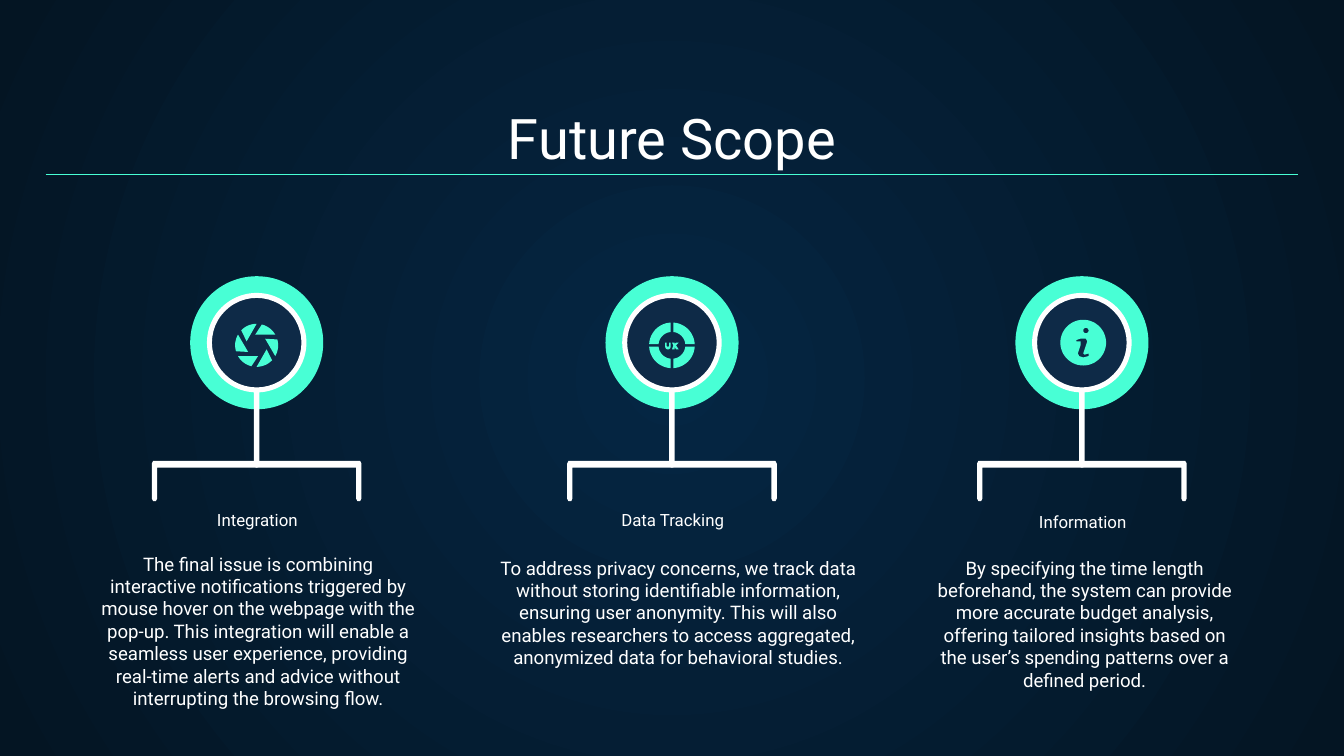
from math import asin, cos, degrees, radians, sin

from lxml import etree
from pptx import Presentation
from pptx import util as u
from pptx.dml.color import RGBColor
from pptx.enum import shapes, text
from pptx.oxml.ns import qn

HUES = {"glow": "052643", "edge": "041523", "mint": "48FFD5", "navy": "0E2A47", "white": "FFFFFF"}
FONT = "Roboto"
COLS = [
    {"mid": 1.91, "label": "Integration", "top": 3.83, "box": (0.63, 4.01, 2.58, 0.55),
     "body": "The final issue is combining interactive notifications triggered by mouse hover on the "
             "webpage with the pop-up. This integration will enable a seamless user experience, "
             "providing real-time alerts and advice without interrupting the browsing flow."},
    {"mid": 5, "label": "Data Tracking", "top": 3.83, "box": (3.57, 4.04, 2.95, 0.55),
     "body": "To address privacy concerns, we track data without storing identifiable information, "
             "ensuring user anonymity. This will also enables researchers to access aggregated, "
             "anonymized data for behavioral studies."},
    {"mid": 8.05, "label": "Information", "top": 3.85, "box": (6.84, 4.04, 2.46, 0.55),
     "body": "By specifying the time length beforehand, the system can provide more accurate budget "
             "analysis, offering tailored insights based on the user’s spending patterns over a "
             "defined period."},
]


def tint(name):
    """Return the named colour."""
    return RGBColor.from_string(HUES[name])


def put(item, values):
    """Set each attribute of an item from a dict."""
    for key, value in values.items():
        setattr(item, key, value)


def paint(shape, hue):
    """Give a shape a plain fill with no line or shadow."""
    shape.shadow.inherit = False
    shape.fill.solid()
    shape.fill.fore_color.rgb = tint(hue)
    shape.line.fill.background()


def write(shape, words, size, anchor):
    """Fill a text shape with one centred white paragraph."""
    frame = shape.text_frame
    sides = ("left", "top", "right", "bottom")
    put(frame, {f"margin_{side}": u.Inches(0.1) for side in sides})
    put(frame, {"word_wrap": True, "auto_size": text.MSO_AUTO_SIZE.NONE,
                "vertical_anchor": anchor, "text": words})
    para = frame.paragraphs[0]
    para.alignment = text.PP_ALIGN.CENTER
    put(para.font, {"name": FONT, "size": u.Pt(size)})
    para.font.color.rgb = tint("white")


def note(slide, box, words, size, anchor):
    """Add a text box."""
    write(slide.shapes.add_textbox(*map(u.Inches, box)), words, size, anchor)


def block(pool, kind, box, hue):
    """Add a preset shape in one colour."""
    shape = pool.add_shape(kind, *map(u.Inches, box))
    paint(shape, hue)
    return shape


def disc(pool, kind, mid, size, hue):
    """Add a round shape about a centre."""
    x, y = mid
    return block(pool, kind, (x - size / 2, y - size / 2, size, size), hue)


def outline(pool, mid, rings, hue):
    """Draw closed rings of points, given relative to a centre."""
    rings = [[(u.Inches(mid[0] + x), u.Inches(mid[1] + y)) for x, y in ring] for ring in rings]
    pen = pool.build_freeform(*rings[0][0], scale=1.0)
    for i, ring in enumerate(rings):
        if i:
            pen.move_to(*ring[0])
        pen.add_line_segments(ring[1:], close=True)
    paint(pen.convert_to_shape(), hue)


def arc(size, start, end, steps=12):
    """Return points on an arc, with angles in degrees."""
    turns = [radians(start + (end - start) * i / steps) for i in range(steps + 1)]
    return [(size * cos(a), size * sin(a)) for a in turns]


def shift(ring, dx, dy):
    """Move a ring of points."""
    return [(x + dx, y + dy) for x, y in ring]


def lens(slide, mid):
    """Draw the six blades of a camera lens."""
    pool = slide.shapes.add_group_shape().shapes
    for turn in range(0, 360, 60):
        blade = arc(0.16, turn - 30, turn - 76) + arc(0.08, turn - 98, turn - 98, 1)[:1]
        outline(pool, (mid[0], mid[1] + 0.02), [blade], "mint")


def target(slide, mid):
    """Draw a split ring around the letters UX."""
    pool = slide.shapes.add_group_shape().shapes
    mid = (mid[0], mid[1] + 0.02)
    far, near = (degrees(asin(0.01 / size)) for size in (0.17, 0.1))
    for turn in range(0, 360, 90):
        part = arc(0.17, turn + far, turn + 90 - far) + arc(0.1, turn + 90 - near, turn + near)
        outline(pool, mid, [part], "mint")
    cup = [(-0.05, -0.02), *shift(arc(0.02, 180, 0), -0.03, 0.01), (-0.01, -0.02),
           (-0.02, -0.02), *shift(arc(0.01, 0, 180), -0.03, 0), (-0.04, -0.02)]
    cross = [(0, -0.02), (0.02, -0.02), (0.02, -0.01), (0.03, -0.02), (0.05, -0.02), (0.03, 0),
             (0.05, 0.03), (0.03, 0.03), (0.02, 0.01), (0.02, 0.03), (0, 0.03), (0.01, 0)]
    for glyph in (cup, cross):
        outline(pool, mid, [glyph], "mint")


def info(slide, mid):
    """Draw a disc with a letter i cut out."""
    dot = shift(arc(0.02, 0, 345, 23), 0.02, -0.09)
    stem = [(-0.05, -0.02), (-0.02, -0.03), (0.02, -0.03), (0.03, -0.01), (0.01, 0.05),
            (0, 0.08), (0.01, 0.09), (0.04, 0.08), (0.04, 0.1), (0, 0.11), (-0.03, 0.1),
            (-0.04, 0.08), (-0.02, 0.02), (-0.02, -0.01), (-0.05, -0.01)]
    outline(slide.shapes, (mid[0] + 0.01, mid[1]), [arc(0.17, 0, 355, 71), dot, stem], "mint")


def badge(slide, x, y, icon):
    """Draw the bracket, stem, rings and icon about a centre."""
    pool, mid, kinds = slide.shapes, (x, y), shapes.MSO_SHAPE
    half = [(0.74, 0.93), (0.74, 1.16), (0.75, 1.18), (0.77, 1.18), (0.78, 1.16),
            (0.78, 0.9), (0.77, 0.88)]
    outline(pool, mid, [half + [(-dx, dy) for dx, dy in reversed(half)]], "white")
    disc(pool, kinds.OVAL, mid, 0.99, "mint")
    stem = block(pool, kinds.ROUNDED_RECTANGLE, (x - 0.02, y - 0.07, 0.04, 1), "white")
    stem.adjustments[0] = 0.5
    disc(pool, kinds.OVAL, mid, 0.7, "navy")
    disc(pool, kinds.DONUT, mid, 0.74, "white").adjustments[0] = 0.05
    icon(slide, mid)


def column(slide, col, icon):
    """Place one badge with its label and text."""
    badge(slide, col["mid"], 2.55, icon)
    label = (col["mid"] - 1.13, col["top"], 2.27, 0.21)
    note(slide, label, col["label"], 9, text.MSO_ANCHOR.BOTTOM)
    note(slide, col["box"], col["body"], 10, text.MSO_ANCHOR.TOP)


def header(slide, x, y, w, h):
    """Place the title and the rule under it."""
    title = slide.shapes.title
    put(title, {"left": u.Inches(x), "top": u.Inches(y), "width": u.Inches(w), "height": u.Inches(h)})
    write(title, "Future Scope", 30, text.MSO_ANCHOR.BOTTOM)
    ends = map(u.Inches, (x, y + 0.59, x + w, y + 0.59))
    rule = slide.shapes.add_connector(shapes.MSO_CONNECTOR.STRAIGHT, *ends)
    rule.line.color.rgb = tint("mint")
    rule.line.width = u.Pt(0.75)
    etree.SubElement(rule.element.spPr, qn("a:effectLst"))


def backdrop(slide):
    """Give the slide a round gradient."""
    fill = slide.background.fill
    fill.gradient()
    for stop, hue, place in zip(fill.gradient_stops, ("glow", "edge"), (0, 1)):
        stop.color.rgb = tint(hue)
        stop.position = place
    grad = next(slide.element.iter(qn("a:gradFill")))
    grad.remove(grad.find(qn("a:lin")))
    burst = etree.SubElement(grad, qn("a:path"), {"path": "circle"})
    etree.SubElement(burst, qn("a:fillToRect"), dict.fromkeys("ltrb", "50000"))


def main():
    """Build and save the slide."""
    deck = Presentation()
    put(deck, {"slide_width": u.Inches(10), "slide_height": u.Inches(10) * 9 // 16})
    slide = deck.slides.add_slide(deck.slide_layouts[5])
    backdrop(slide)
    header(slide, 0.34, 0.71, 9.32, 0.66)
    for col, icon in zip(COLS, (lens, target, info)):
        column(slide, col, icon)
    deck.save("out.pptx")


if __name__ == "__main__":
    main()
